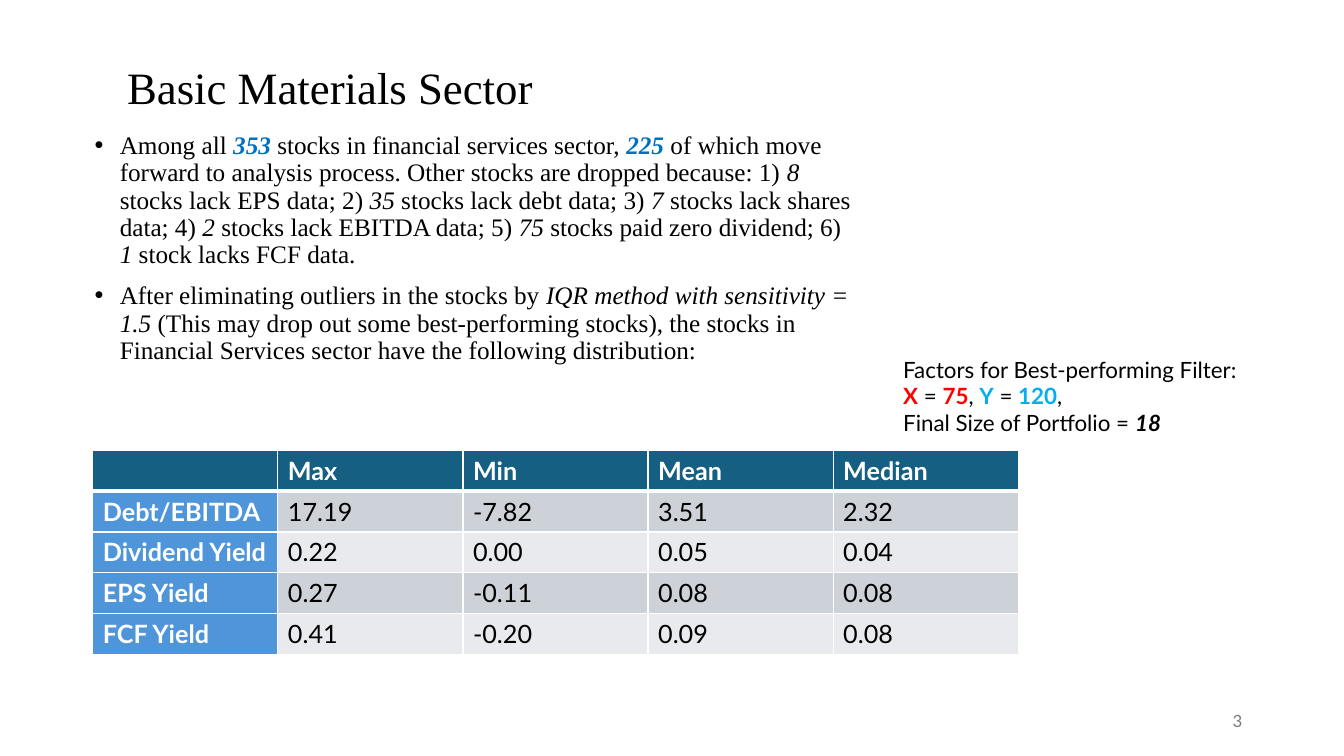
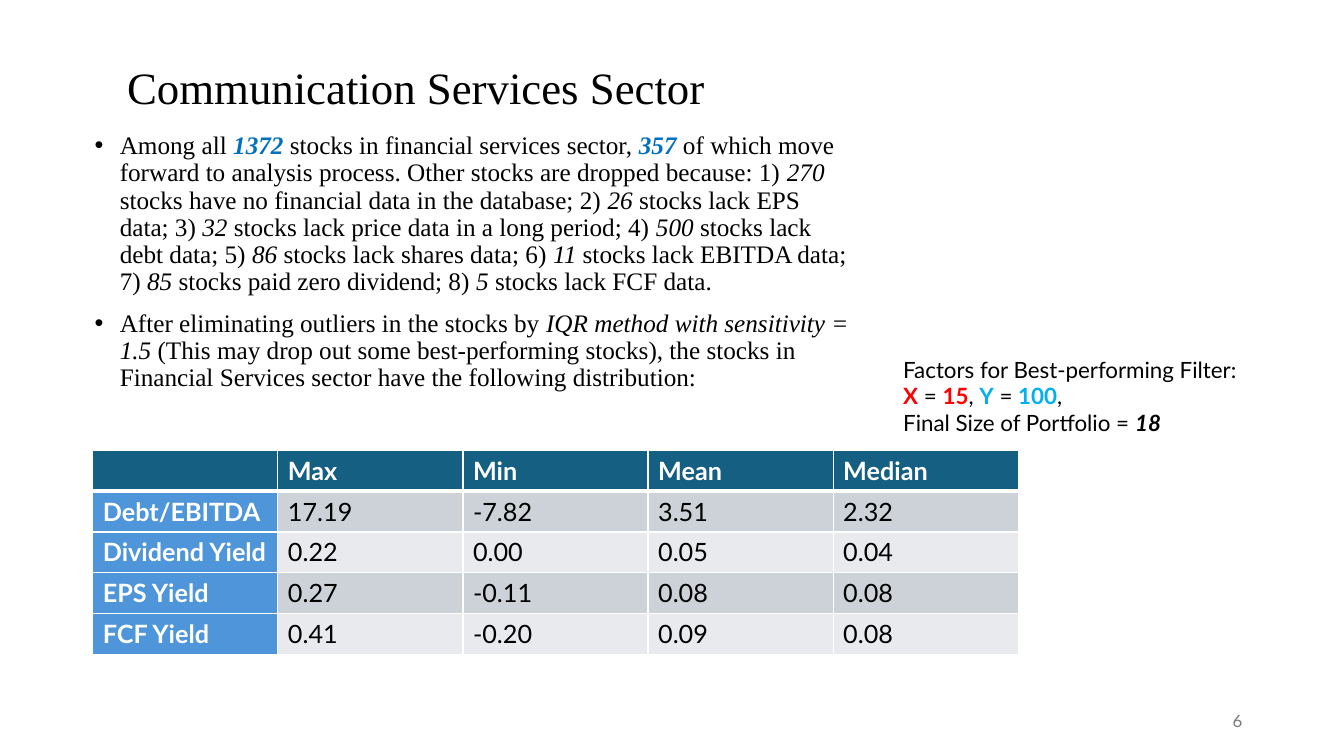
from lxml.etree import SubElement
from pptx import Presentation
from pptx.dml.color import RGBColor
from pptx.enum.text import MSO_ANCHOR as Anchor, PP_ALIGN as Align
from pptx.oxml.ns import qn
from pptx.util import Inches, Pt

BLACK = RGBColor(0x00, 0x00, 0x00)
WHITE = RGBColor(0xFF, 0xFF, 0xFF)
GREY = RGBColor(0x79, 0x79, 0x79)
RED = RGBColor(0xFF, 0x00, 0x00)
SKY = RGBColor(0x00, 0xB0, 0xF0)
BLUE = RGBColor(0x00, 0x70, 0xC0)
HEADER_FILL = RGBColor(0x15, 0x60, 0x82)
LABEL_FILL = RGBColor(0x4E, 0x95, 0xD9)
BAND_FILLS = (RGBColor(0xCC, 0xD2, 0xD8), RGBColor(0xE8, 0xEA, 0xED))

SERIF = "Times New Roman"
SANS = "Lato"

PLAIN = {}
ITALIC = {"italic": True}
BOLD_ITALIC = {"bold": True, "italic": True}
COUNT = {"bold": True, "italic": True, "color": BLUE}
X_STYLE = {"bold": True, "color": RED}
Y_STYLE = {"bold": True, "color": SKY}

DISTRIBUTION = [
    ["", "Max", "Min", "Mean", "Median"],
    ["Debt/EBITDA", "17.19", "-7.82", "3.51", "2.32"],
    ["Dividend Yield", "0.22", "0.00", "0.05", "0.04"],
    ["EPS Yield", "0.27", "-0.11", "0.08", "0.08"],
    ["FCF Yield", "0.41", "-0.20", "0.09", "0.08"],
]

OUTLIERS = [
    ("After eliminating outliers in the stocks by ", PLAIN),
    ("IQR method with sensitivity = 1.5 ", ITALIC),
    ("(This may drop out some best-performing stocks), the stocks in "
     "Financial Services sector have the following distribution:", PLAIN),
]

SECTORS = [
    {
        "title": "Basic Materials Sector", "title_width": 4.9, "number": 3,
        "total": 353, "kept": 225, "x": 75, "y": 120, "size": 18,
        "dropped": [
            (8, "stocks lack EPS data"),
            (35, "stocks lack debt data"),
            (7, "stocks lack shares data"),
            (2, "stocks lack EBITDA data"),
            (75, "stocks paid zero dividend"),
            (1, "stock lacks FCF data"),
        ],
    },
    {
        "title": "Communication Services Sector", "title_width": 6.2, "number": 6,
        "total": 1372, "kept": 357, "x": 15, "y": 100, "size": 18,
        "dropped": [
            (270, "stocks have no financial data in the database"),
            (26, "stocks lack EPS data"),
            (32, "stocks lack price data in a long period"),
            (500, "stocks lack debt data"),
            (86, "stocks lack shares data"),
            (11, "stocks lack EBITDA data"),
            (85, "stocks paid zero dividend"),
            (5, "stocks lack FCF data"),
        ],
    },
]


def selection_runs(sector):
    runs = [
        ("Among all ", PLAIN),
        (str(sector["total"]), COUNT),
        (" stocks in financial services sector, ", PLAIN),
        (str(sector["kept"]), COUNT),
        (" of which move forward to analysis process. "
         "Other stocks are dropped because: 1) ", PLAIN),
    ]
    last = len(sector["dropped"])
    for position, (count, reason) in enumerate(sector["dropped"], 1):
        ending = "." if position == last else f"; {position + 1}) "
        runs += [(str(count), ITALIC), (f" {reason}{ending}", PLAIN)]
    return runs


def factor_lines(sector):
    return [
        [("Factors for Best-performing Filter:", PLAIN)],
        [("X", X_STYLE), (" = ", PLAIN), (str(sector["x"]), X_STYLE), (", ", PLAIN),
         ("Y", Y_STYLE), (" = ", PLAIN), (str(sector["y"]), Y_STYLE), (",", PLAIN)],
        [("Final Size of Portfolio = ", PLAIN), (str(sector["size"]), BOLD_ITALIC)],
    ]


class SectorDeck:
    def __init__(self):
        self.presentation = Presentation()
        self.presentation.slide_width = Inches(13.33)
        self.presentation.slide_height = Inches(7.5)
        self.slide = None

    def add_slide(self):
        layout = self.presentation.slide_layouts.get_by_name("Title Only")
        self.slide = self.presentation.slides.add_slide(layout)

    def format_run(self, run, name, size, color=BLACK, bold=False, italic=False):
        font = run.font
        font.name = name
        font.size = Pt(size)
        font.color.rgb = color
        font.bold = bold
        font.italic = italic

    def add_title(self, text, width):
        title = self.slide.shapes.title
        title.left, title.top = Inches(1.16), Inches(0.15)
        title.width, title.height = Inches(width), Inches(1.48)
        title.text_frame.text = text
        title.text_frame.vertical_anchor = Anchor.MIDDLE
        paragraph = title.text_frame.paragraphs[0]
        paragraph.alignment = Align.LEFT
        paragraph.line_spacing = 0.9
        self.format_run(paragraph.runs[0], SERIF, 32)

    def add_text(self, left, top, width, height, lines, name, size):
        box = self.slide.shapes.add_textbox(
            Inches(left), Inches(top), Inches(width), Inches(height))
        frame = box.text_frame
        frame.word_wrap = True
        for index, pieces in enumerate(lines):
            paragraph = frame.add_paragraph() if index else frame.paragraphs[0]
            for text, style in pieces:
                run = paragraph.add_run()
                run.text = text
                self.format_run(run, name, size, **style)
        return frame

    def add_bullets(self, lines):
        frame = self.add_text(0.84, 1.27, 7.73, 2.95, lines, SERIF, 18)
        for paragraph in frame.paragraphs:
            paragraph.line_spacing = 0.9
            paragraph.space_before = Pt(10)
            properties = paragraph._p.get_or_add_pPr()
            properties.set("marL", str(Inches(0.25)))
            properties.set("indent", str(Inches(-0.25)))
            SubElement(properties, qn("a:buFont"), typeface="Arial")
            SubElement(properties, qn("a:buChar"), char="•")

    def add_factors(self, lines):
        self.add_text(8.86, 3.48, 3.56, 0.91, lines, SANS, 16)

    def add_number(self, number):
        pieces = [(str(number), {"color": GREY})]
        frame = self.add_text(9.42, 6.95, 3, 0.4, [pieces], SANS, 12)
        frame.vertical_anchor = Anchor.MIDDLE
        frame.paragraphs[0].alignment = Align.RIGHT

    def add_borders(self, cell, top, bottom):
        properties = cell._tc.get_or_add_tcPr()
        for side, width in (("L", 1), ("R", 1), ("T", top), ("B", bottom)):
            line = SubElement(properties, qn(f"a:ln{side}"), w=str(Pt(width)))
            fill = SubElement(line, qn("a:solidFill"))
            SubElement(fill, qn("a:srgbClr"), val=str(WHITE))

    def add_table(self, rows):
        table = self.slide.shapes.add_table(
            len(rows), len(rows[0]),
            Inches(0.92), Inches(4.47), Inches(9.18), Inches(2.02)).table
        for row, values in enumerate(rows):
            for column, value in enumerate(values):
                cell = table.cell(row, column)
                heading = row == 0 or column == 0
                self.add_borders(cell, 3 if row == 1 else 1, 3 if row == 0 else 1)
                cell.fill.solid()
                if row == 0:
                    cell.fill.fore_color.rgb = HEADER_FILL
                elif column == 0:
                    cell.fill.fore_color.rgb = LABEL_FILL
                else:
                    cell.fill.fore_color.rgb = BAND_FILLS[(row - 1) % 2]
                cell.text_frame.text = value
                for run in cell.text_frame.paragraphs[0].runs:
                    self.format_run(run, SANS, 18, WHITE if heading else BLACK, heading)


def main():
    deck = SectorDeck()
    for sector in SECTORS:
        deck.add_slide()
        deck.add_title(sector["title"], sector["title_width"])
        deck.add_bullets([selection_runs(sector), OUTLIERS])
        deck.add_number(sector["number"])
        deck.add_table(DISTRIBUTION)
        deck.add_factors(factor_lines(sector))
    deck.presentation.save("out.pptx")


if __name__ == "__main__":
    main()
